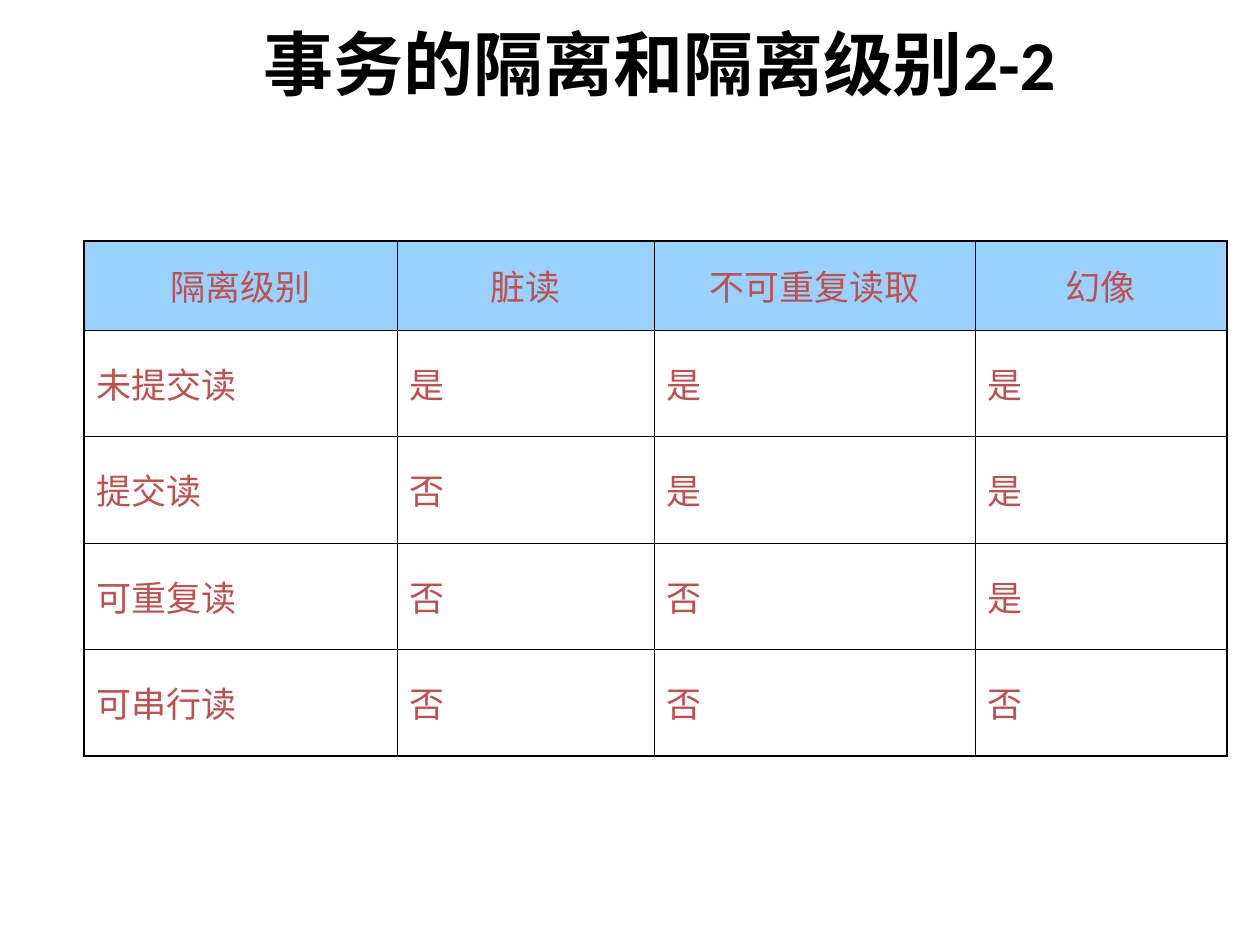
from lxml.etree import SubElement
from pptx import Presentation
from pptx.dml.color import RGBColor
from pptx.enum.text import MSO_ANCHOR as Anchor, PP_ALIGN as Align
from pptx.oxml.ns import qn
from pptx.util import Pt

SCALE = 914400 / 126
CJK_FONT = "Noto Sans CJK SC"
COLUMN_WIDTHS = [313, 257, 321, 252]
ROW_HEIGHTS = [89, 106, 107, 106, 107]
ISOLATION_LEVELS = [
    ["隔离级别", "脏读", "不可重复读取", "幻像"],
    ["未提交读", "是", "是", "是"],
    ["提交读", "否", "是", "是"],
    ["可重复读", "否", "否", "是"],
    ["可串行读", "否", "否", "否"],
]


def px(length):
    return round(length * SCALE)


def color(hex_code):
    return RGBColor.from_string(hex_code)


def write(frame, text, *, size, font, ink, align, bold=False, before=0):
    frame.word_wrap = True
    paragraph = frame.paragraphs[0]
    paragraph.alignment = align
    paragraph.space_before = Pt(before)
    run = paragraph.add_run()
    run.text = text
    run.font.size = Pt(size)
    run.font.name = font
    run.font.bold = bold
    run.font.color.rgb = color(ink)
    SubElement(run.font._element, qn("a:ea"), typeface=CJK_FONT)


def draw_borders(cell, widths):
    properties = cell._tc.get_or_add_tcPr()
    for index, (side, width) in enumerate(widths.items()):
        line = SubElement(properties, qn(f"a:ln{side}"), w=str(Pt(width)))
        fill = SubElement(line, qn("a:solidFill"))
        SubElement(fill, qn("a:srgbClr"), val="000000")
        properties.insert(index, line)


def add_heading(slide, left, top, width, height):
    heading = slide.shapes.title
    heading.left, heading.top = px(left), px(top)
    heading.width, heading.height = px(width), px(height)
    heading.text_frame.vertical_anchor = Anchor.MIDDLE
    write(heading.text_frame, "事务的隔离和隔离级别2-2", size=40,
          font="Calibri", ink="000000", align=Align.CENTER, bold=True)


def add_levels_table(slide, left, top, width, height):
    levels = slide.shapes.add_table(
        len(ROW_HEIGHTS), len(COLUMN_WIDTHS),
        px(left), px(top), px(width), px(height)).table
    levels.first_row = levels.horz_banding = False
    for column, column_width in zip(levels.columns, COLUMN_WIDTHS):
        column.width = px(column_width)
    for row, row_height in zip(levels.rows, ROW_HEIGHTS):
        row.height = px(row_height)

    last_row, last_column = len(ROW_HEIGHTS) - 1, len(COLUMN_WIDTHS) - 1
    for r, entries in enumerate(ISOLATION_LEVELS):
        is_header = r == 0
        for c, entry in enumerate(entries):
            cell = levels.cell(r, c)
            cell.vertical_anchor = Anchor.MIDDLE
            if is_header:
                cell.fill.solid()
                cell.fill.fore_color.rgb = color("99D1FF")
            else:
                cell.fill.background()
            write(cell.text_frame, entry, size=20, ink="C0504D", before=5,
                  font="Arial" if is_header else CJK_FONT,
                  align=Align.CENTER if is_header else Align.LEFT)
            outer = {"L": c == 0, "R": c == last_column,
                     "T": is_header, "B": r == last_row}
            draw_borders(cell, {side: 1.08 if edge else 0.45
                                for side, edge in outer.items()})


def main():
    deck = Presentation()
    deck.slide_width, deck.slide_height = px(1260), px(945)
    slide = deck.slides.add_slide(deck.slide_layouts[5])
    add_heading(slide, 233, 20, 853, 86)
    add_levels_table(slide, 84, 241, sum(COLUMN_WIDTHS), sum(ROW_HEIGHTS))
    deck.save("out.pptx")


if __name__ == "__main__":
    main()
